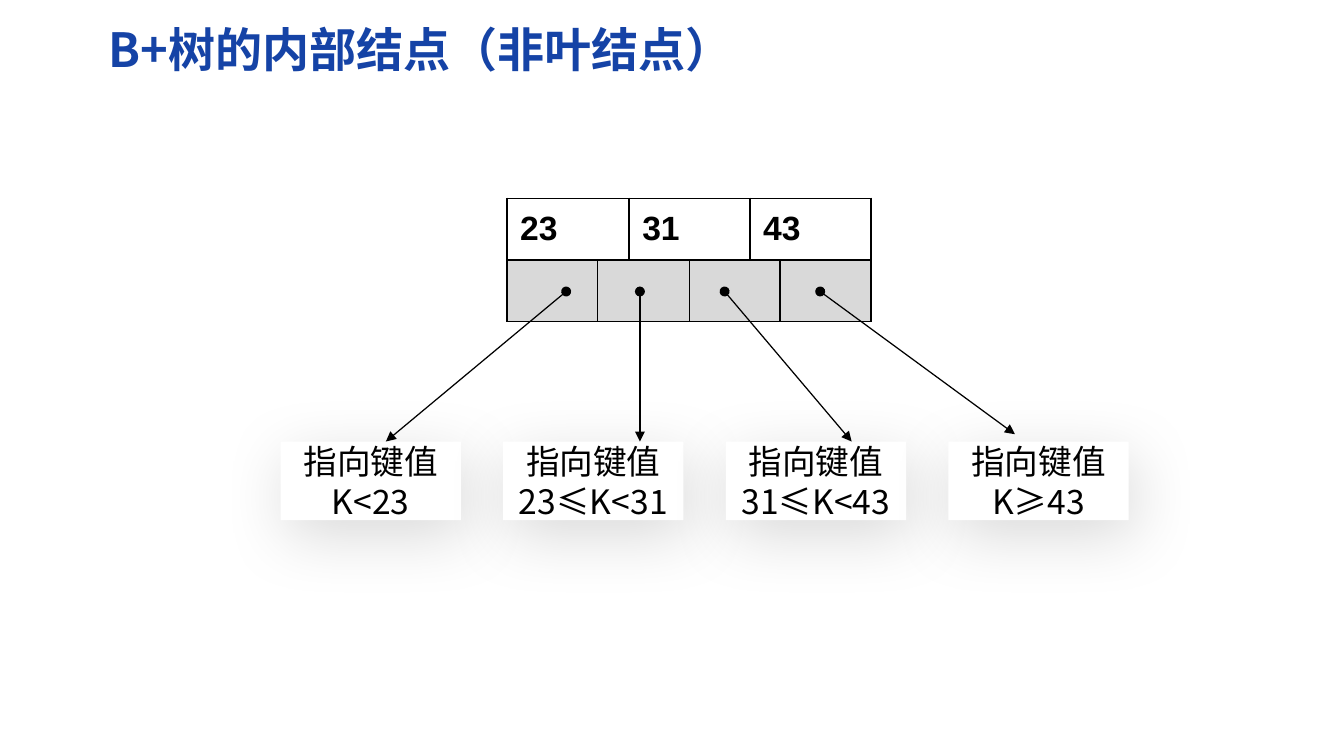
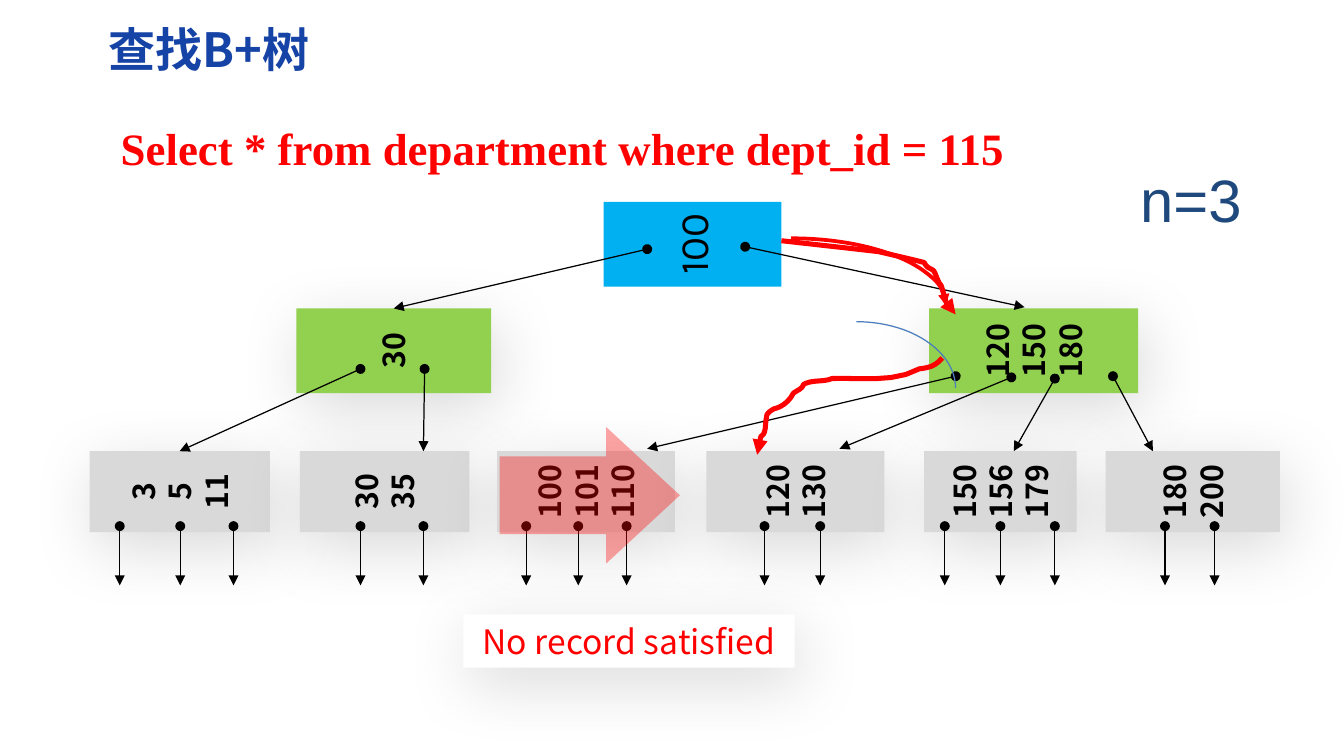
"""Build two slides on the inner nodes of a B+ tree and on searching one."""
from dataclasses import dataclass

from lxml import etree
from pptx import Presentation
from pptx.dml.color import RGBColor
from pptx.enum.shapes import MSO_CONNECTOR, MSO_SHAPE
from pptx.enum.text import MSO_ANCHOR, PP_ALIGN
from pptx.oxml.ns import qn
from pptx.util import Inches, Pt

RECTANGLE = MSO_SHAPE.RECTANGLE
RIGHT_ARROW = MSO_SHAPE.RIGHT_ARROW
ARC = MSO_SHAPE.ARC
STRAIGHT = MSO_CONNECTOR.STRAIGHT
TOP = MSO_ANCHOR.TOP
MIDDLE = MSO_ANCHOR.MIDDLE
LEFT = PP_ALIGN.LEFT
CENTER = PP_ALIGN.CENTER


@dataclass(frozen=True)
class Theme:
    """Colours, fonts and type sizes shared by the slides."""
    title: str = "1543A6"
    ink: str = "000000"
    paper: str = "FFFFFF"
    grey: str = "D9D9D9"
    root: str = "00B0F0"
    branch: str = "92D050"
    accent: str = "FF0000"
    navy: str = "1F497D"
    thin_arc: str = "4B7EBC"
    sans: str = "Noto Sans CJK SC"
    latin: str = "Arial"
    serif: str = "Times New Roman"
    root_font: str = "Karla"
    title_size: float = 28
    label_size: float = 20
    key_size: float = 18
    root_size: float = 24
    query_size: float = 26.7
    order_size: float = 35.6


THEME = Theme()


def rgb(color):
    """Turn a hex string into a colour."""
    return RGBColor.from_string(color)


def box(*lengths):
    """Turn inches into lengths."""
    return [Inches(length) for length in lengths]


def add_element(parent, tag, **attributes):
    """Append a child element with the given attributes."""
    child = etree.SubElement(parent, qn(tag))
    for name, value in attributes.items():
        child.set(name, str(value))
    return child


def set_text(shape, text, size, color=THEME.ink, font=THEME.sans, bold=False,
             align=CENTER, anchor=MIDDLE, margins=(0.1, 0.05), wrap=True):
    """Write text into a shape and format its runs."""
    frame = shape.text_frame
    frame.text = text
    frame.word_wrap = wrap
    frame.vertical_anchor = anchor
    frame.margin_left = frame.margin_right = Inches(margins[0])
    frame.margin_top = frame.margin_bottom = Inches(margins[1])
    for paragraph in frame.paragraphs:
        paragraph.alignment = align
        for run in paragraph.runs:
            run.font.name = font
            run.font.size = Pt(size)
            run.font.bold = bold
            run.font.color.rgb = rgb(color)
            add_element(run.font._element, "a:ea", typeface=font)


def add_text(slide, bounds, text, size, **style):
    """Add a text box."""
    set_text(slide.shapes.add_textbox(*box(*bounds)), text, size, **style)


def add_title(slide, text):
    """Add the slide title."""
    add_text(slide, (0.79, 0.12, 9.81, 0.57), text, THEME.title_size,
             color=THEME.title, bold=True, align=LEFT, margins=(0.11, 0.06))


def add_filled(slide, preset, bounds, color, shadow=False):
    """Add an outlineless filled shape, with a soft shadow if wanted."""
    shape = slide.shapes.add_shape(preset, *box(*bounds))
    shape.fill.solid()
    shape.fill.fore_color.rgb = rgb(color)
    shape.line.fill.background()
    shape.shadow.inherit = False
    if shadow:
        effects = shape.element.spPr.find(qn("a:effectLst"))
        outer = add_element(effects, "a:outerShdw", blurRad=Pt(40), dist=Pt(10),
                            dir=70 * 60000, algn="ctr", rotWithShape=0)
        tint = add_element(outer, "a:srgbClr", val=THEME.ink)
        add_element(tint, "a:alpha", val=15000)
    return shape


def add_label(slide, bounds, text, color=THEME.ink):
    """Add a white shadowed label."""
    shape = add_filled(slide, RECTANGLE, bounds, THEME.paper, shadow=True)
    set_text(shape, text, THEME.label_size, color=color)


def add_node(slide, bounds, keys, color, shadow=True, **style):
    """Add a tree node whose keys read upwards."""
    shape = add_filled(slide, RECTANGLE, bounds, color, shadow)
    style = {"size": THEME.key_size, "bold": True, **style}
    set_text(shape, "\n".join(keys), margins=(0, 0), **style)
    shape.element.txBody.bodyPr.set("vert", "vert270")
    return shape


def set_line(shape, color, width, head=None, tail=None):
    """Style a line and its ends."""
    shape.line.color.rgb = rgb(color)
    shape.line.width = Pt(width)
    outline = shape.element.spPr.find(qn("a:ln"))
    for tag, kind in (("a:headEnd", head), ("a:tailEnd", tail)):
        if kind:
            add_element(outline, tag, type=kind)


def add_pointer(slide, start, end, target=None):
    """Add a dotted-start arrow, joined to the top of a target if given."""
    connector = slide.shapes.add_connector(STRAIGHT, *box(*start, *end))
    if target is not None:
        connector.end_connect(target, 0)
    set_line(connector, THEME.ink, 0.75, "oval", "triangle")
    add_element(connector.element.spPr, "a:effectLst")


def add_arc(slide, bounds, color, width, tail=None):
    """Add an open quarter arc."""
    shape = slide.shapes.add_shape(ARC, *box(*bounds))
    shape.fill.background()
    shape.shadow.inherit = False
    set_line(shape, color, width, tail=tail)


def bezier(points, steps=6):
    """Sample a chain of cubic curves given as start and control points."""
    samples = []
    for first in range(0, len(points) - 1, 3):
        a, b, c, d = points[first:first + 4]
        for step in range(1, steps + 1):
            t = step / steps
            u = 1 - t
            weights = (u ** 3, 3 * u * u * t, 3 * u * t * t, t ** 3)
            samples.append(tuple(
                Inches(sum(w * p[axis] for w, p in zip(weights, (a, b, c, d))))
                for axis in (0, 1)))
    return samples


def add_search_stroke(slide, points):
    """Add a hand-drawn red search arrow."""
    builder = slide.shapes.build_freeform(*box(*points[0]))
    builder.add_line_segments(bezier(points), close=False)
    shape = builder.convert_to_shape()
    shape.fill.background()
    shape.shadow.inherit = False
    set_line(shape, THEME.accent, 3, tail="triangle")


def set_cell(cell, color):
    """Fill a table cell and draw its four borders."""
    properties = cell._tc.get_or_add_tcPr()
    for side in ("a:lnL", "a:lnR", "a:lnT", "a:lnB"):
        border = add_element(properties, side, w=Pt(1))
        add_element(add_element(border, "a:solidFill"), "a:srgbClr", val=THEME.ink)
    cell.fill.solid()
    cell.fill.fore_color.rgb = rgb(color)


def add_node_table(slide, keys):
    """Add the node table with a key row above a pointer row."""
    widths = (0.75, 0.25, 0.5, 0.5, 0.25, 0.75)
    table = slide.shapes.add_table(2, 6, *box(4.19, 1.64, 3, 1.02)).table
    table.first_row = table.horz_banding = False
    for column, width in zip(table.columns, widths):
        column.width = Inches(width)
    for row, color in zip(table.rows, (THEME.paper, THEME.grey)):
        row.height = Inches(0.51)
        for cell in row.cells:
            set_cell(cell, color)
    for row, column in ((0, 0), (0, 2), (0, 4), (1, 1), (1, 3)):
        table.cell(row, column).merge(table.cell(row, column + 1))
    for index, key in enumerate(keys):
        cell = table.cell(0, 2 * index)
        cell.vertical_anchor = MIDDLE
        cell.margin_left = cell.margin_right = Inches(0.11)
        cell.margin_top = cell.margin_bottom = Inches(0.06)
        cell.text_frame.text = key
        font = cell.text_frame.paragraphs[0].runs[0].font
        font.name = THEME.latin
        font.size = Pt(THEME.label_size)
        font.bold = True
        font.color.rgb = rgb(THEME.ink)


def build_inner_node(slide):
    """Show an inner node and the key range behind each pointer."""
    add_title(slide, "B+树的内部结点（非叶结点）")
    add_node_table(slide, ("23", "31", "43"))
    ranges = ("K<23", "23≤K<31", "31≤K<43", "K≥43")
    for index, key_range in enumerate(ranges):
        add_label(slide, (2.32 + 1.84 * index, 3.65, 1.49, 0.65), "指向键值" + key_range)
    ends = ((3.19, 3.65), (5.29, 3.65), (7.04, 3.65), (8.39, 3.59))
    for start, end in zip((4.68, 5.29, 5.99, 6.78), ends):
        add_pointer(slide, (start, 2.41), end)


def add_tree(slide):
    """Add the three levels of the tree with their pointers."""
    add_node(slide, (4.99, 1.67, 1.47, 0.7), ["100"], THEME.root, shadow=False,
             size=THEME.root_size, font=THEME.root_font, bold=False)
    add_node(slide, (7.68, 2.55, 1.73, 0.7), ["120", "150", "180"], THEME.branch)
    left_branch = add_node(slide, (2.45, 2.55, 1.61, 0.7), ["30"], THEME.branch)
    leaves = (
        (0.74, 1.49, ("3", "5", "11"), (0.99, 1.49, 1.93)),
        (2.48, 1.4, ("30", "35"), (2.98, 3.5)),
        (4.11, 1.47, ("100", "101", "110"), (4.35, 4.78, 5.18)),
        (5.84, 1.47, ("120", "130"), (6.32, 6.78)),
        (7.64, 1.26, ("150", "156", "179"), (7.81, 8.27, 8.72)),
        (9.14, 1.44, ("180", "200"), (9.63, 10.04)),
    )
    leaf_nodes = [add_node(slide, (left, 3.73, width, 0.67), keys, THEME.grey)
                  for left, width, keys, _ in leaves]
    pointers = (
        ((5.35, 2.06), (3.26, 2.55), left_branch),
        ((6.16, 2.04), (8.47, 2.54), None),
        ((2.98, 3.05), (1.49, 3.73), leaf_nodes[0]),
        ((3.51, 3.05), (3.5, 3.73), None),
        ((7.9, 3.11), (5.35, 3.71), None),
        ((8.36, 3.12), (6.94, 3.71), None),
        ((8.72, 3.13), (8.38, 3.73), None),
        ((9.2, 3.11), (9.53, 3.73), None),
    )
    for start, end, target in pointers:
        add_pointer(slide, start, end, target)
    for *_, record_lefts in leaves:
        for left in record_lefts:
            add_pointer(slide, (left, 4.35), (left, 4.84))


def build_search(slide):
    """Show the search for a key that the tree does not hold."""
    add_title(slide, "查找B+树")
    add_text(slide, (0.9, 0.95, 7.87, 0.36), "Select * from department where dept_id = 115",
             THEME.query_size, color=THEME.accent, font=THEME.serif, bold=True,
             align=LEFT, anchor=TOP)
    add_tree(slide)
    add_search_stroke(slide, (
        (6.46, 1.99), (6.73, 2.02), (7, 2.05), (7.26, 2.08), (7.39, 2.11), (7.52, 2.14),
        (7.64, 2.17), (7.65, 2.19), (7.66, 2.2), (7.67, 2.21), (7.69, 2.22), (7.71, 2.23),
        (7.72, 2.24), (7.74, 2.27), (7.75, 2.33), (7.78, 2.36), (7.81, 2.44), (7.82, 2.56),
        (7.9, 2.6)))
    add_search_stroke(slide, (
        (7.79, 2.96), (7.73, 3.03), (7.68, 3.04), (7.6, 3.05), (7.39, 3.17), (7.08, 3.12),
        (6.88, 3.13), (6.81, 3.16), (6.73, 3.14), (6.66, 3.17), (6.62, 3.19), (6.66, 3.18),
        (6.61, 3.22), (6.59, 3.23), (6.56, 3.25), (6.56, 3.25), (6.52, 3.33), (6.45, 3.37),
        (6.4, 3.38), (6.38, 3.39), (6.35, 3.41), (6.34, 3.43), (6.32, 3.52), (6.34, 3.58),
        (6.29, 3.61), (6.28, 3.65), (6.27, 3.71), (6.26, 3.76)))
    arrow = add_filled(slide, RIGHT_ARROW, (4.13, 3.53, 1.49, 1.13), THEME.accent)
    arrow.adjustments[0], arrow.adjustments[1] = 0.57, 0.54
    tint = arrow.element.spPr.find(qn("a:solidFill")).find(qn("a:srgbClr"))
    add_element(tint, "a:alpha", val=35000)
    add_label(slide, (3.83, 5.08, 2.74, 0.44), "No record satisfied", THEME.accent)
    add_text(slide, (9.32, 1.3, 1.05, 0.7), "n=3", THEME.order_size, color=THEME.navy,
             font=THEME.latin, anchor=TOP, wrap=False)
    add_arc(slide, (5.26, 1.97, 2.56, 1.11), THEME.accent, 2.25, "triangle")
    add_arc(slide, (6.26, 2.66, 1.64, 1.1), THEME.thin_arc, 0.75)


def main():
    """Build and save the presentation."""
    presentation = Presentation()
    presentation.slide_width, presentation.slide_height = box(11.11, 6.25)
    for build in (build_inner_node, build_search):
        build(presentation.slides.add_slide(presentation.slide_layouts[6]))
    presentation.save("out.pptx")


if __name__ == "__main__":
    main()
